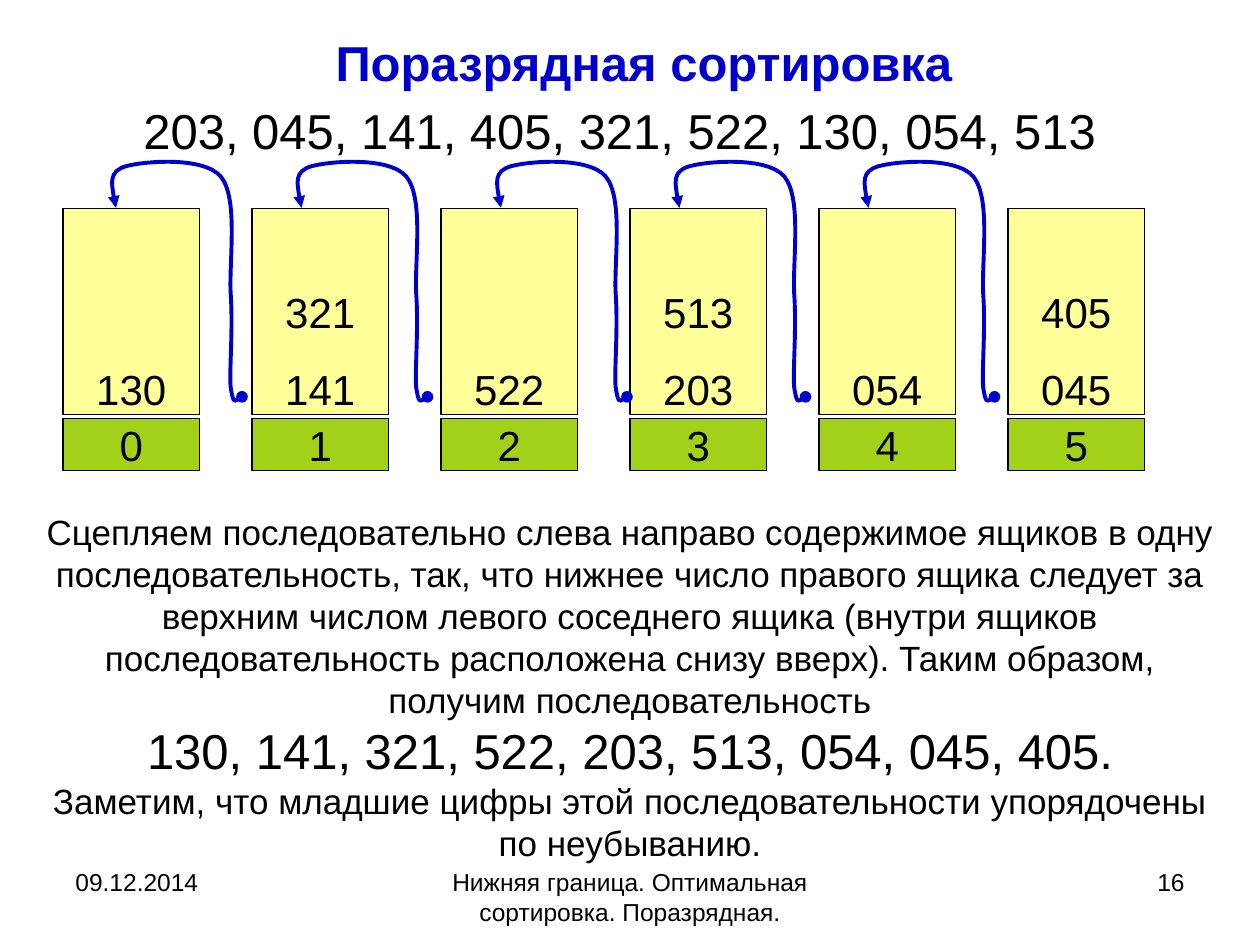
from lxml import etree
from pptx import Presentation
from pptx.dml.color import RGBColor
from pptx.enum.shapes import MSO_SHAPE
from pptx.enum.text import MSO_ANCHOR, PP_ALIGN
from pptx.oxml.ns import qn
from pptx.util import Pt

LEFT, CENTER, RIGHT = PP_ALIGN.LEFT, PP_ALIGN.CENTER, PP_ALIGN.RIGHT
TOP, MIDDLE, BOTTOM = MSO_ANCHOR.TOP, MSO_ANCHOR.MIDDLE, MSO_ANCHOR.BOTTOM

THEME = {
    "font": "Arial", "text": "000000", "accent": "0000CC",
    "bin": "FFFF99", "digit": "99CC00", "digit_alpha": 90,
    "heading": 28, "bin_size": 24, "body": 20, "footer": 14,
    "border": 0.75, "arrow": 2.25,
}

TITLE = "Поразрядная сортировка"
INPUT = "203, 045, 141, 405, 321, 522, 130, 054, 513"
EXPLANATION = (
    "Сцепляем последовательно слева направо содержимое ящиков в одну "
    "последовательность, так, что нижнее число правого ящика следует за "
    "верхним числом левого соседнего ящика (внутри ящиков последовательность "
    "расположена снизу вверх). Таким образом, получим последовательность"
)
RESULT = "130, 141, 321, 522, 203, 513, 054, 045, 405."
REMARK = "Заметим, что младшие цифры этой последовательности упорядочены по неубыванию."
BINS = [["130"], ["321", "141"], ["522"], ["513", "203"], ["054"], ["405", "045"]]
FOOTERS = [  # text, left, width, alignment
    ("09.12.2014", 36, 168, LEFT),
    ("Нижняя граница. Оптимальная сортировка. Поразрядная.", 246, 228, CENTER),
    ("16", 516, 168, RIGHT),
]

BIN_LEFT, BIN_PITCH, BIN_WIDTH = 36, 108, 78
BIN_TOP, BIN_HEIGHT = 119, 118
DIGIT_TOP, DIGIT_HEIGHT = 239, 30
FOOTER_TOP, FOOTER_HEIGHT = 492, 37.5

ARROW_LEFTS = [62, 168, 282, 384, 492]
ARROW_START = (76.3, 226.8)
# Three points for each Bezier segment: two controls, then the end.
ARROW_CURVE = [
    (73.4, 229), (71.3, 231.1), (69.8, 221),
    (69.1, 211), (71.3, 187.2), (69.8, 167),
    (69.1, 146.9), (74.2, 113), (64.1, 100.8),
    (54, 89.3), (20.2, 92.2), (10.1, 95),
    (0, 97.9), (2.2, 108.7), (4.3, 118.8),
]


def rgb(name):
    return RGBColor.from_string(THEME[name])


def write(shape, lines, align=CENTER, anchor=TOP, inset=(7.2, 3.6), gap=0):
    """Fill a shape with (text, size name, format) lines, gap points apart."""
    frame = shape.text_frame
    settings = {
        "word_wrap": True, "vertical_anchor": anchor,
        "margin_left": Pt(inset[0]), "margin_right": Pt(inset[0]),
        "margin_top": Pt(inset[1]), "margin_bottom": Pt(inset[1]),
    }
    for key, value in settings.items():
        setattr(frame, key, value)
    for i, (text, size, extra) in enumerate(lines):
        paragraph = frame.add_paragraph() if i else frame.paragraphs[0]
        paragraph.alignment = align
        if i and gap:
            paragraph.space_before = Pt(gap)
        run = paragraph.add_run()
        run.text = text
        font = {"name": THEME["font"], "size": Pt(THEME[size]),
                "bold": extra.get("bold", False)}
        for key, value in font.items():
            setattr(run.font, key, value)
        run.font.color.rgb = rgb(extra.get("color", "text"))


def add_text(slide, left, top, width, height, lines, **options):
    box = slide.shapes.add_textbox(Pt(left), Pt(top), Pt(width), Pt(height))
    write(box, lines, **options)
    return box


def add_box(slide, left, top, height, color, texts, anchor):
    box = slide.shapes.add_shape(
        MSO_SHAPE.RECTANGLE, Pt(left), Pt(top), Pt(BIN_WIDTH), Pt(height))
    box.shadow.inherit = False
    box.fill.solid()
    box.fill.fore_color.rgb = rgb(color)
    box.line.color.rgb = rgb("text")
    box.line.width = Pt(THEME["border"])
    write(box, [(text, "bin_size", {}) for text in texts],
          anchor=anchor, inset=(1.44, 0.72), gap=15)
    return box


def set_alpha(shape, percent):
    color = shape.fill._xPr.find(qn("a:solidFill"))[0]
    etree.SubElement(color, qn("a:alpha")).set("val", str(percent * 1000))


def curve_segments(shape):
    """Turn every three straight segments of a freeform into one Bezier curve."""
    path = shape._element.find(".//" + qn("a:path"))
    lines = path.findall(qn("a:lnTo"))
    for i in range(0, len(lines), 3):
        curve = etree.SubElement(path, qn("a:cubicBezTo"))
        for line in lines[i:i + 3]:
            curve.append(line[0])
            path.remove(line)


def add_arrow(slide, left):
    def place(point):
        return Pt(left + point[0]), Pt(point[1])

    builder = slide.shapes.build_freeform(*place(ARROW_START), scale=1.0)
    builder.add_line_segments([place(p) for p in ARROW_CURVE], close=False)
    arrow = builder.convert_to_shape()
    curve_segments(arrow)
    arrow.shadow.inherit = False
    arrow.fill.background()
    arrow.line.color.rgb = rgb("accent")
    arrow.line.width = Pt(THEME["arrow"])
    line = arrow.line._get_or_add_ln()
    for tag, kind in (("a:headEnd", "oval"), ("a:tailEnd", "triangle")):
        etree.SubElement(line, qn(tag)).set("type", kind)


def main():
    deck = Presentation()
    deck.slide_width, deck.slide_height = Pt(720), Pt(540)
    slide = deck.slides.add_slide(deck.slide_layouts[6])

    heading = add_text(slide, 0, 12, 708, 90, [
        (TITLE, "heading", {"bold": True, "color": "accent"}),
        (INPUT, "heading", {}),
    ], inset=(7.2, 6.7), gap=5)
    title_format = heading.text_frame.paragraphs[0]._p.get_or_add_pPr()
    for key, value in {"marL": 70, "indent": -42}.items():
        title_format.set(key, str(Pt(value)))

    add_text(slide, 18, 288, 684, 209, [
        (EXPLANATION, "body", {}),
        (RESULT, "heading", {}),
        (REMARK, "body", {}),
    ])

    for digit, numbers in enumerate(BINS):
        left = BIN_LEFT + digit * BIN_PITCH
        add_box(slide, left, BIN_TOP, BIN_HEIGHT, "bin", numbers, BOTTOM)
        label = add_box(slide, left, DIGIT_TOP, DIGIT_HEIGHT, "digit",
                        [str(digit)], MIDDLE)
        set_alpha(label, THEME["digit_alpha"])

    for left in ARROW_LEFTS:
        add_arrow(slide, left)

    for text, left, width, align in FOOTERS:
        add_text(slide, left, FOOTER_TOP, width, FOOTER_HEIGHT,
                 [(text, "footer", {})], align=align)

    deck.save("out.pptx")


if __name__ == "__main__":
    main()
